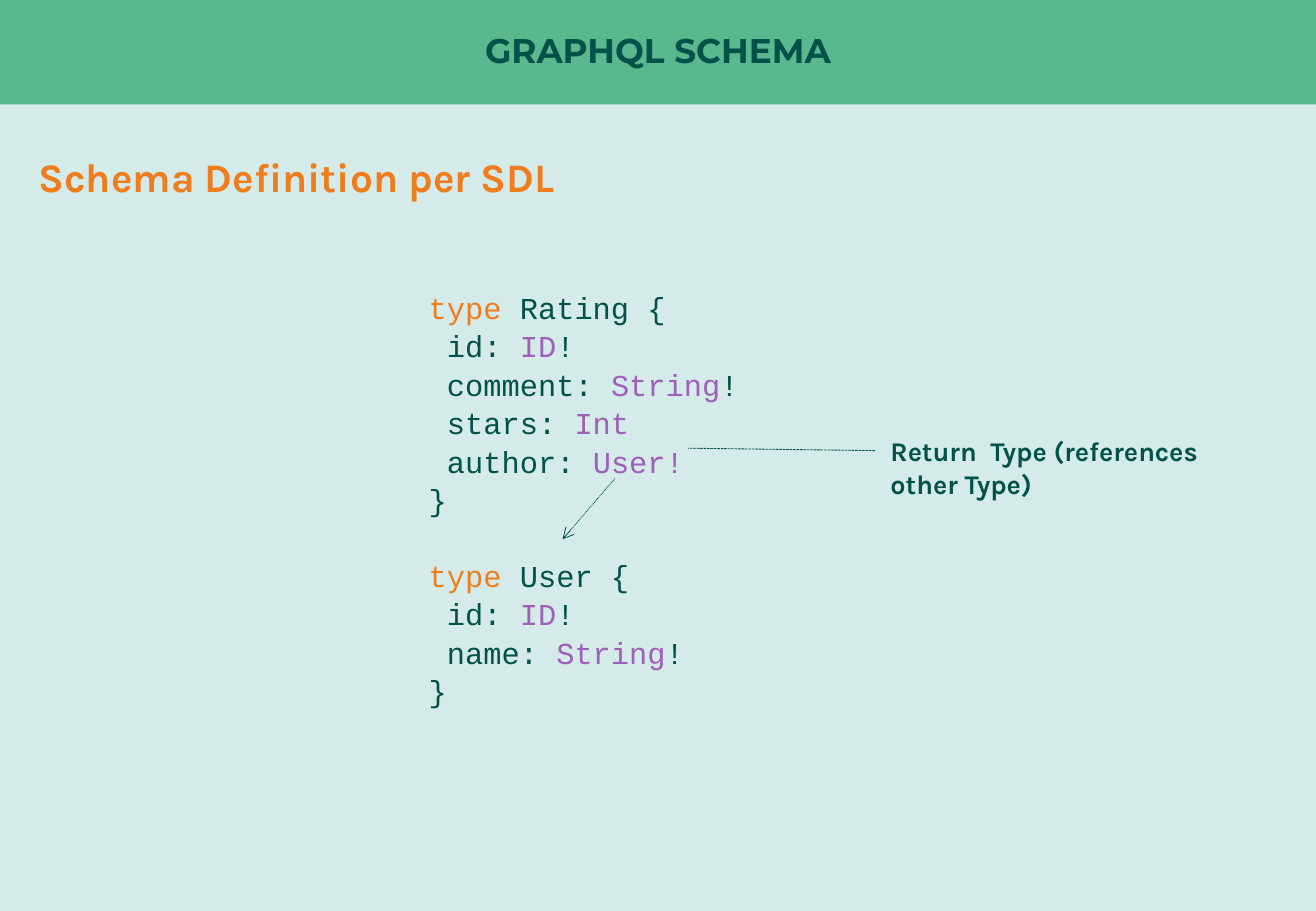
from lxml import etree
from pptx import Presentation
from pptx import util as u
from pptx.dml.color import RGBColor
from pptx.enum import dml, shapes, text
from pptx.oxml.ns import qn

DARK, ORANGE, PURPLE = "025249", "EF7D1D", "9E60B8"


def color(value):
    return RGBColor.from_string(value)


def add_text(left, top, width, height, words, size):
    box = page.shapes.add_textbox(*map(u.Inches, (left, top, width, height)))
    box.text_frame.word_wrap = True
    para = box.text_frame.paragraphs[0]
    para.text = words
    para.font.name = "Karla"
    para.font.size = u.Pt(size)
    para.font.bold = True
    para.font.color.rgb = color(DARK)
    return box.text_frame


deck = Presentation()
deck.slide_width = u.Inches(10.83)
deck.slide_height = u.Inches(7.5)
page = deck.slides.add_slide(deck.slide_layouts[6])
page.background.fill.solid()
page.background.fill.fore_color.rgb = color("D4EBE9")

band = page.shapes.add_shape(
    shapes.MSO_SHAPE.RECTANGLE, 0, 0, deck.slide_width, u.Inches(0.86)
)
band.shadow.inherit = False
band.fill.solid()
band.fill.fore_color.rgb = color("5AB88F")
band.line.fill.background()

title = add_text(0, 0, 10.83, 0.86, "GRAPHQL SCHEMA", 20.3)
title.margin_left = title.margin_right = title.margin_top = title.margin_bottom = 0
title.vertical_anchor = text.MSO_ANCHOR.MIDDLE
title.paragraphs[0].alignment = text.PP_ALIGN.CENTER
title.paragraphs[0].line_spacing = 0.9
title.paragraphs[0].font.name = "Montserrat"

heading = add_text(0.22, 1.12, 10.39, 0.55, "Schema Definition per SDL", 24)
heading.paragraphs[0].line_spacing = 1.2
heading.paragraphs[0].font.color.rgb = color(ORANGE)

code_lines = [
    [("type", ORANGE), (" Rating {", DARK)],
    [(" id: ", DARK), ("ID", PURPLE), ("!", DARK)],
    [(" comment: ", DARK), ("String", PURPLE), ("!", DARK)],
    [(" stars: ", DARK), ("Int", PURPLE)],
    [(" author: ", DARK), ("User!", PURPLE)],
    [("}", DARK)],
    [("type", ORANGE), (" User {", DARK)],
    [(" id: ", DARK), ("ID", PURPLE), ("!", DARK)],
    [(" name: ", DARK), ("String", PURPLE), ("!", DARK)],
    [("}", DARK)],
]
code = add_text(3.43, 2.31, 4.47, 4.34, "", 18)
for index, line in enumerate(code_lines):
    para = code.add_paragraph() if index else code.paragraphs[0]
    para.line_spacing = 1.06
    para.font.name = "Courier New"
    para.font.size = u.Pt(18)
    para.font.bold = False
    if index and line[0][0] == "type":
        para.space_before = u.Pt(21.6)
    for words, shade in line:
        span = para.add_run()
        span.text = words
        span.font.color.rgb = color(shade)

add_text(7.23, 3.53, 3.2, 0.64, "Return  Type (references other Type)", 16)

links = [
    ((5.06, 3.94, 4.63, 4.44), dml.MSO_LINE.ROUND_DOT, True),
    ((7.2, 3.71, 5.66, 3.69), dml.MSO_LINE.SQUARE_DOT, False),
]
for ends, dash, has_arrow in links:
    link = page.shapes.add_connector(
        shapes.MSO_CONNECTOR.STRAIGHT, *map(u.Inches, ends)
    )
    link.line.color.rgb = color(DARK)
    link.line.width = u.Pt(0.5)
    link.line.dash_style = dash
    properties = link._element.spPr
    if has_arrow:
        etree.SubElement(properties.find(qn("a:ln")), qn("a:tailEnd"), type="arrow")
    etree.SubElement(properties, qn("a:effectLst"))

deck.save("out.pptx")
